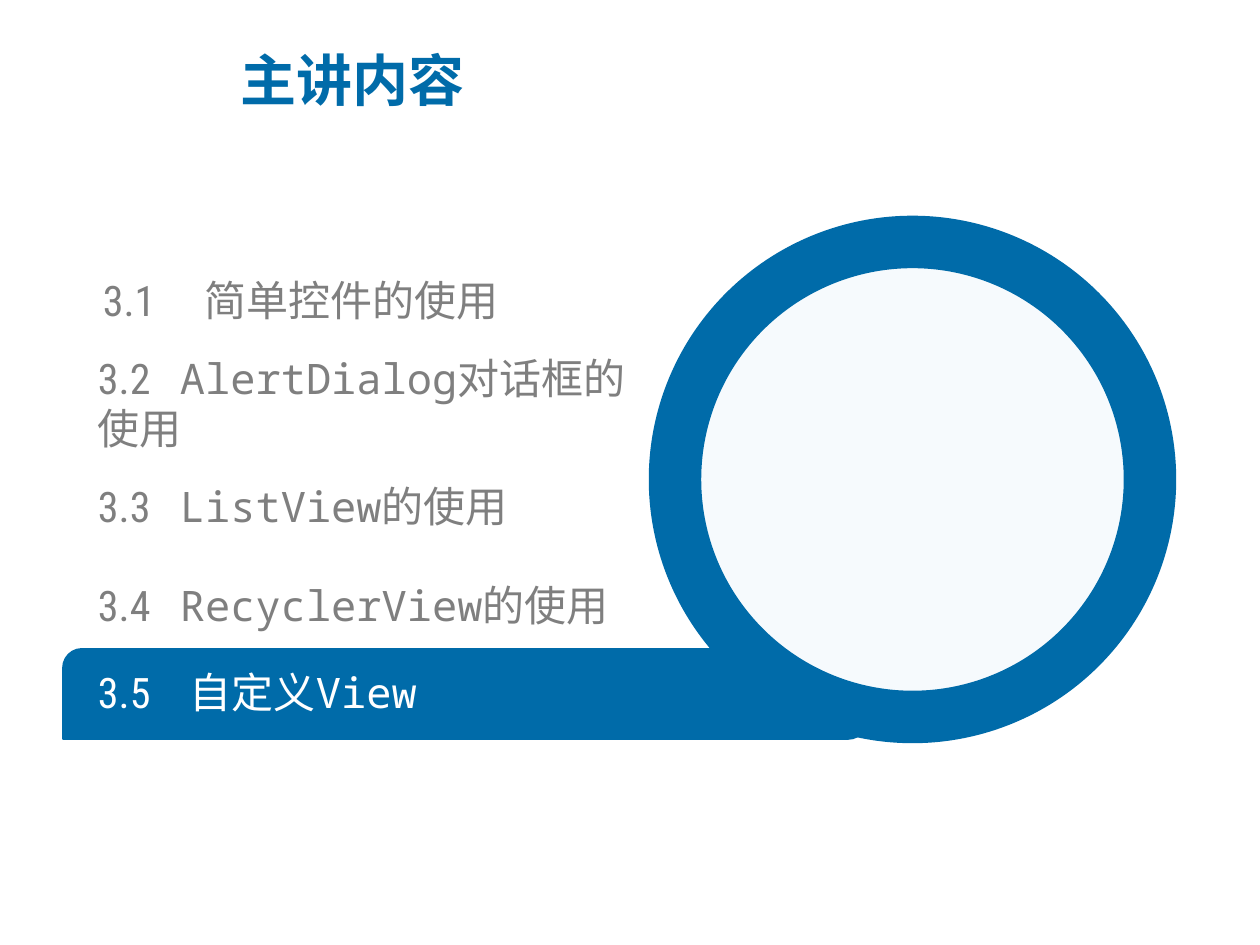
"""Builds the chapter agenda slide with section 3.5 highlighted."""

from lxml.etree import SubElement
from pptx import Presentation
from pptx.dml.color import RGBColor
from pptx.enum.shapes import MSO_SHAPE
from pptx.enum.text import MSO_ANCHOR
from pptx.oxml.ns import qn
from pptx.util import Emu, Pt

PX = 914400 // 126
BLUE, GRAY, WHITE, PALE = "006BA9", "7F7F7F", "FFFFFF", "F6FAFD"
CJK, MONO, CONDENSED = "Noto Sans CJK SC", "Noto Sans Mono", "Roboto Condensed"

deck = Presentation()
deck.slide_width, deck.slide_height = Emu(1260 * PX), Emu(945 * PX)
slide = deck.slides.add_slide(deck.slide_layouts[6])


def add_panel(preset, box, fill, line_width):
    panel = slide.shapes.add_shape(preset, *[Emu(n * PX) for n in box])
    panel.shadow.inherit = False
    panel.fill.solid()
    panel.fill.fore_color.rgb = RGBColor.from_string(fill)
    panel.line.color.rgb = RGBColor.from_string(BLUE)
    panel.line.width = Pt(line_width)
    return panel


def add_label(box, pieces, size, color, bold=False, tab=None):
    frame = slide.shapes.add_textbox(*[Emu(n * PX) for n in box]).text_frame
    frame.word_wrap = True
    frame.vertical_anchor = MSO_ANCHOR.MIDDLE
    frame.margin_left = frame.margin_right = frame.margin_top = frame.margin_bottom = 0
    paragraph = frame.paragraphs[0]
    if tab:
        stops = SubElement(paragraph._p.get_or_add_pPr(), qn("a:tabLst"))
        SubElement(stops, qn("a:tab"), pos=str(tab * PX), algn="l")
    for text, font_name in pieces:
        run = paragraph.add_run()
        run.text = text
        run.font.name, run.font.size, run.font.bold = font_name, Pt(size), bold
        run.font.color.rgb = RGBColor.from_string(color)
        SubElement(run._r.get_or_add_rPr(), qn("a:ea"), typeface=CJK)


highlight = add_panel(MSO_SHAPE.ROUND_2_DIAG_RECTANGLE, (63, 649, 804, 90), BLUE, 1)
highlight.adjustments[0] = 0.21
add_panel(MSO_SHAPE.OVAL, (675, 242, 475, 475), PALE, 30)

add_label((241, 26, 684, 106), [("主讲内容", CJK)], 32, BLUE, bold=True)

sections = [
    (103, 275, 102, GRAY, [("3.1\t简单控件的使用", CONDENSED)]),
    (98, 378, 82, GRAY, [("3.2\t", CONDENSED), ("AlertDialog", MONO), ("对话框的使用", CONDENSED)]),
    (98, 481, 82, GRAY, [("3.3\t", CONDENSED), ("ListView", MONO), ("的使用", CONDENSED)]),
    (98, 580, 82, GRAY, [("3.4\t", CONDENSED), ("RecyclerView", MONO), ("的使用", CONDENSED)]),
    (98, 667, 92, WHITE, [("3.5\t自定义", CONDENSED), ("View", MONO)]),
]
for left, top, tab, color, pieces in sections:
    add_label((left, top, 556, 50), pieces, 24, color, tab=tab)

deck.save("out.pptx")
